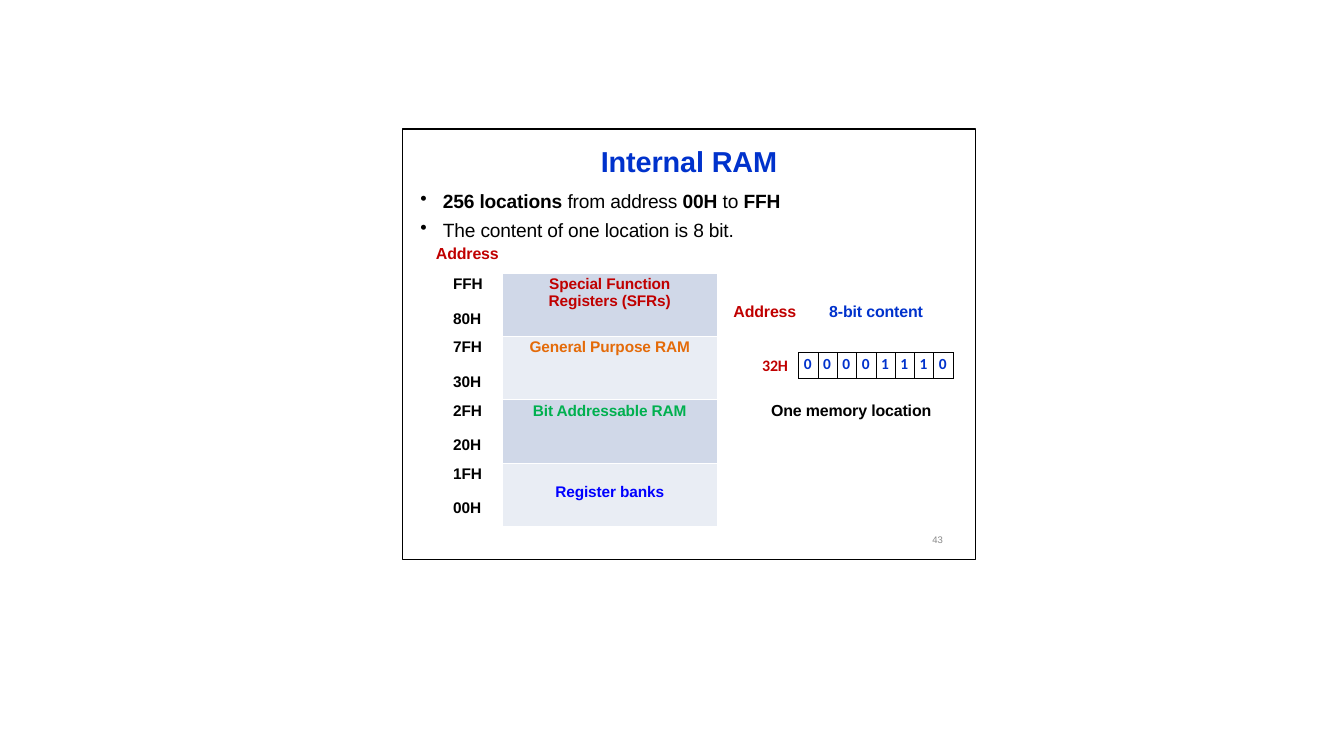
from lxml.etree import SubElement
from pptx import Presentation
from pptx.dml.color import RGBColor
from pptx.enum.shapes import MSO_SHAPE as Shape
from pptx.enum.text import PP_ALIGN as Align
from pptx.oxml.ns import qn
from pptx.util import Pt

COLORS = {
    "black": "000000", "white": "FFFFFF", "grey": "898989", "blue": "0032CC",
    "red": "C00000", "orange": "E46B09", "green": "00B04F", "bright": "0000FF",
    "band dark": "D0D8E8", "band light": "E9EDF4",
}


def rgb(name):
    return RGBColor.from_string(COLORS[name])


class Painter:
    """Holds the text style and the slide being drawn."""

    def __init__(self, slide, font="Arial", size=11.4):
        self.slide = slide
        self.font = font
        self.size = size

    def set_text(self, paragraph, runs, color="black", size=None, font=None,
                 bold=True, align=Align.LEFT, before=0):
        """Fill a paragraph with a string or with (text, bold) pairs."""
        mixed = not isinstance(runs, str)
        paragraph.alignment = align
        paragraph.space_before = Pt(before)
        style = paragraph.font
        style.name = font or self.font
        style.size = Pt(size or self.size)
        style.color.rgb = rgb(color)
        if not mixed:
            style.bold = bold
        for text, weight in runs if mixed else [(runs, None)]:
            run = paragraph.add_run()
            run.text = text
            run.font.bold = weight
            run._r.get_or_add_rPr().set("spc", "-10")

    def box(self, left, top, width, height):
        shape = self.slide.shapes.add_textbox(Pt(left), Pt(top), Pt(width), Pt(height))
        frame = shape.text_frame
        frame.word_wrap = True
        frame.margin_left = frame.margin_right = 0
        frame.margin_top = frame.margin_bottom = 0
        return frame

    def label(self, text, left, top, width, height=15, **style):
        self.set_text(self.box(left, top, width, height).paragraphs[0], text, **style)

    def bullets(self, items, left, top, width, height, indent, gap, size):
        frame = self.box(left, top, width, height)
        for number, runs in enumerate(items):
            paragraph = frame.add_paragraph() if number else frame.paragraphs[0]
            self.set_text(paragraph, runs, size=size, before=gap if number else 0)
            properties = paragraph._p.get_or_add_pPr()
            properties.set("marL", str(Pt(indent)))
            properties.set("indent", str(-Pt(indent)))
            bullet = SubElement(properties, qn("a:buChar"))
            bullet.set("char", "•")
            properties.find(qn("a:defRPr")).addprevious(bullet)

    def table(self, left, top, widths, heights):
        shape = self.slide.shapes.add_table(
            len(heights), len(widths), Pt(left), Pt(top), Pt(sum(widths)), Pt(sum(heights)))
        table = shape.table
        table.first_row = table.horz_banding = False
        for column, width in zip(table.columns, widths):
            column.width = Pt(width)
        for row, height in zip(table.rows, heights):
            row.height = Pt(height)
        return table

    def cell(self, cell, lines, border, border_width, fill=None,
             indent=0, inset=1.8, gap=0, **style):
        cell.margin_left, cell.margin_top = Pt(indent), Pt(inset)
        cell.margin_right = cell.margin_bottom = 0
        for side in ("a:lnL", "a:lnR", "a:lnT", "a:lnB"):
            line = SubElement(cell._tc.get_or_add_tcPr(), qn(side), w=str(Pt(border_width)))
            solid = SubElement(line, qn("a:solidFill"))
            SubElement(solid, qn("a:srgbClr"), val=COLORS[border])
        if fill:
            cell.fill.solid()
            cell.fill.fore_color.rgb = rgb(fill)
        else:
            cell.fill.background()
        frame = cell.text_frame
        for number, text in enumerate(lines):
            paragraph = frame.add_paragraph() if number else frame.paragraphs[0]
            self.set_text(paragraph, text, size=11, before=gap if number else 0, **style)

    def outline(self, left, top, width, height, line_width):
        shape = self.slide.shapes.add_shape(
            Shape.RECTANGLE, Pt(left), Pt(top), Pt(width), Pt(height))
        shape.shadow.inherit = False
        shape.fill.background()
        shape.line.color.rgb = rgb("black")
        shape.line.width = Pt(line_width)


def main():
    presentation = Presentation()
    presentation.slide_width, presentation.slide_height = Pt(960), Pt(540)
    painter = Painter(presentation.slides.add_slide(presentation.slide_layouts[6]))

    # Title and bullets
    frame_left, frame_width = 287.3, 409.7
    painter.label("Internal RAM", frame_left, 102.3, frame_width, 24,
                  color="blue", size=20.6, align=Align.CENTER)
    painter.bullets([
        [("256 locations ", True), ("from address ", False), ("00H ", True),
         ("to ", False), ("FFH", True)],
        [("The content of one location is 8 bit.", False)],
    ], left=300.2, top=135.4, width=300, height=36, indent=16.2, gap=4.2, size=13.7)

    # Memory map
    painter.label("Address", 311.4, 173.8, 60, color="red")
    regions = [
        ("FFH", "80H", ["Special Function", "Registers (SFRs)"], "red"),
        ("7FH", "30H", ["General Purpose RAM"], "orange"),
        ("2FH", "20H", ["Bit Addressable RAM"], "green"),
        ("1FH", "00H", ["Register banks"], "bright"),
    ]
    memory = painter.table(313.9, 195.1, [44.7, 154], [45.2] * len(regions))
    for row, (last, first, name, color) in enumerate(regions):
        painter.cell(memory.cell(row, 0), [last, first], "white", 0.5, indent=9.8, gap=12.4)
        painter.cell(memory.cell(row, 1), name, "white", 0.5,
                     fill="band light" if row % 2 else "band dark",
                     inset=14.6 if color == "bright" else 1.8,
                     color=color, align=Align.CENTER)

    # One memory location
    painter.label("Address", 523.9, 215.6, 60, color="red")
    painter.label("8-bit content", 592.3, 215.6, 90, color="blue")
    painter.label("32H", 544.4, 254.1, 25, color="red", font="Calibri")
    bits = "00001110"
    location = painter.table(570.6, 252, [13.8] * len(bits), [18])
    for column, bit in enumerate(bits):
        painter.cell(location.cell(0, column), [bit], "black", 0.75,
                     indent=3.6, inset=1.4, color="blue", font="Calibri")
    painter.label("One memory location", 550.8, 286.2, 130)

    # Page number and frame
    painter.label("43", 666, 381.6, 15, 9, color="grey", size=6.8, bold=False)
    painter.outline(frame_left, 92.2, frame_width, 307.4, 0.96)

    presentation.save("out.pptx")


if __name__ == "__main__":
    main()
